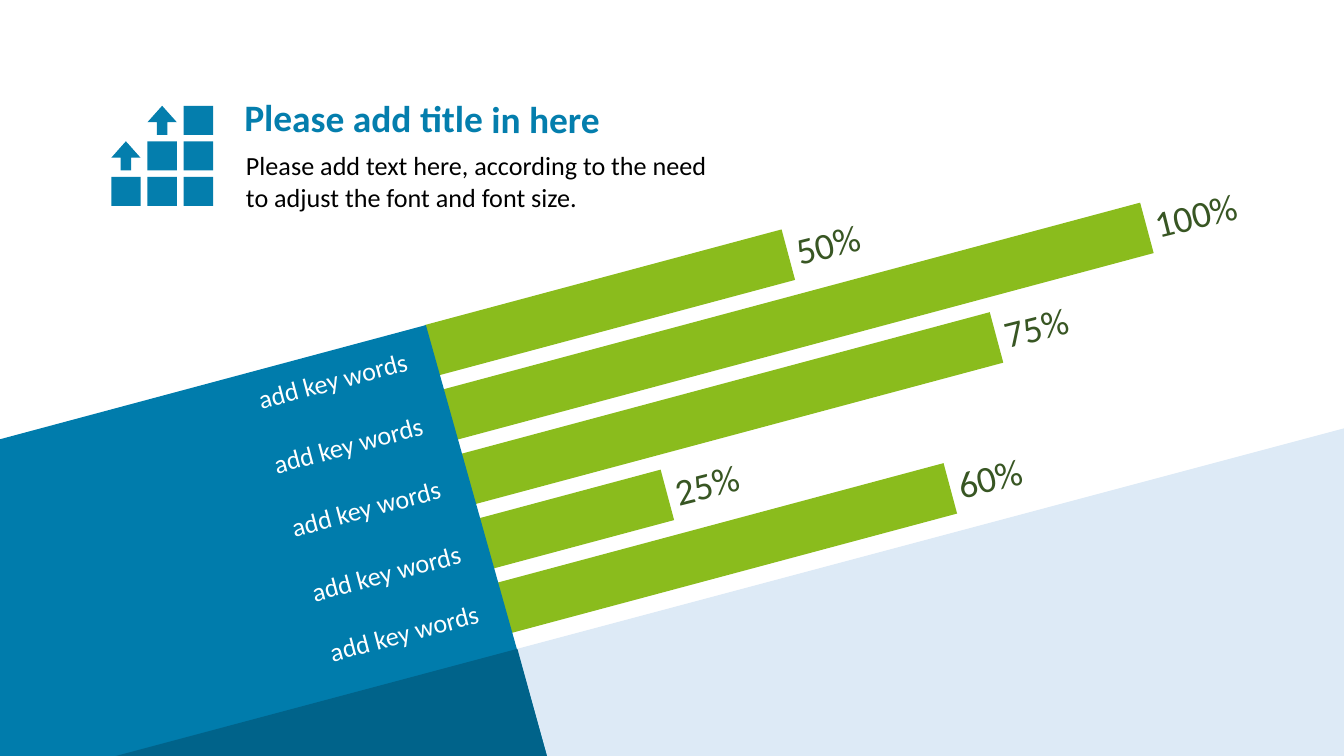
from math import cos, radians, sin

from pptx import Presentation
from pptx.dml.color import RGBColor
from pptx.enum import shapes, text
from pptx.util import Pt

FONT = "Calibri"
GREEN, DARK_GREEN, PALE_BLUE = "8ABC1D", "385623", "DDEAF6"
BLUE, DEEP_BLUE, TITLE_BLUE = "007CAC", "00638A", "047EAD"

TITLE = "Please add title in here"
BODY = "Please add text here, according to the need to adjust the font and font size."
BARS = [
    ("add key words", (178.2, 203.8), "50%", 198),
    ("add key words", (186.5, 238.3), "100%", 386.8),
    ("add key words", (196, 272.3), "75%", 293.4),
    ("add key words", (206.8, 306.9), "25%", 100.8),
    ("add key words", (216.4, 339), "60%", 247.7),
]

TILT = 15
BAR_HEIGHT = 28
BAR_START, BAR_STEP = (227.5, 174.2), (9.7, 34.5)
LABEL_WIDTHS = {3: 49, 4: 59}
LABEL_OVERLAP = 2.6

PANEL = [(228.2, 174.2), (293, 405), (0, 405), (0, 235.4)]
PANEL_SHADE = [(277.2, 347.6), (293, 405), (62, 405)]

ICON_LEFT, ICON_TOP = 59.6, 56.7
ICON_PITCH = (19.4, 19.05)
ICON_ROWS = [" ^#", "^##", "###"]
TILES = {
    "#": [(0, 0), (15.7, 0), (15.7, 15.6), (0, 15.6)],
    "^": [(7.85, 0), (15.7, 8.8), (10.6, 8.8), (10.6, 15.6),
          (5.1, 15.6), (5.1, 8.8), (0, 8.8)],
}


def paint(shape, color):
    shape.shadow.inherit = False
    shape.fill.solid()
    shape.fill.fore_color.rgb = RGBColor.from_string(color)
    shape.line.fill.background()


def along(x, y, dx, dy):
    angle = radians(TILT)
    return (x + dx * cos(angle) + dy * sin(angle),
            y - dx * sin(angle) + dy * cos(angle))


def bar_corner(index):
    return (BAR_START[0] + index * BAR_STEP[0],
            BAR_START[1] + index * BAR_STEP[1])


def frame(center, width, height):
    return (Pt(center[0] - width / 2), Pt(center[1] - height / 2),
            Pt(width), Pt(height))


def add_block(slide, kind, center, width, height, color, rotation=0):
    shape = slide.shapes.add_shape(kind, *frame(center, width, height))
    shape.rotation = rotation
    paint(shape, color)
    return shape


def add_outline(slide, contours, color):
    builder = None
    for contour in contours:
        points = [(Pt(x), Pt(y)) for x, y in contour]
        if builder is None:
            builder = slide.shapes.build_freeform(*points[0])
        else:
            builder.move_to(*points[0])
        builder.add_line_segments(points[1:], close=True)
    paint(builder.convert_to_shape(), color)


def add_text(slide, words, center, width, height, size, color,
             rotation=0, centered=False, wrap=False, bold=False):
    box = slide.shapes.add_textbox(*frame(center, width, height))
    box.rotation = rotation
    box.text_frame.word_wrap = wrap
    box.text_frame.auto_size = text.MSO_AUTO_SIZE.SHAPE_TO_FIT_TEXT
    paragraph = box.text_frame.paragraphs[0]
    paragraph.text = words
    paragraph.alignment = text.PP_ALIGN.CENTER if centered else text.PP_ALIGN.LEFT
    paragraph.font.name = FONT
    paragraph.font.size = Pt(size)
    paragraph.font.bold = bold
    paragraph.font.color.rgb = RGBColor.from_string(color)


def icon_contours():
    for row, tiles in enumerate(ICON_ROWS):
        for column, tile in enumerate(tiles):
            if tile in TILES:
                left = ICON_LEFT + column * ICON_PITCH[0]
                top = ICON_TOP + row * ICON_PITCH[1]
                yield [(left + x, top + y) for x, y in TILES[tile]]


def main():
    presentation = Presentation()
    presentation.slide_width, presentation.slide_height = Pt(720), Pt(405)
    slide = presentation.slides.add_slide(presentation.slide_layouts[6])

    for index, (_, _, _, length) in enumerate(BARS):
        center = along(*bar_corner(index), length / 2, BAR_HEIGHT / 2)
        add_block(slide, shapes.MSO_SHAPE.RECTANGLE, center, length, BAR_HEIGHT,
                  GREEN, -TILT)

    slope = add_block(slide, shapes.MSO_SHAPE.RIGHT_TRIANGLE, (391, 317.25),
                      658, 175.5, PALE_BLUE)
    slope._element.spPr.xfrm.set("flipH", "1")
    add_outline(slide, [PANEL], BLUE)
    add_outline(slide, [PANEL_SHADE], DEEP_BLUE)

    for index, (keyword, keyword_center, percent, length) in enumerate(BARS):
        add_text(slide, keyword, keyword_center, 97.2, 24.5, 14, "FFFFFF",
                 -TILT, centered=True)
        width = LABEL_WIDTHS[len(percent)]
        center = along(*bar_corner(index), length + width / 2 - LABEL_OVERLAP,
                       BAR_HEIGHT / 2)
        add_text(slide, percent, center, width, 31.7, 20, DARK_GREEN, 1 - TILT)

    add_text(slide, BODY, (260.8, 97.1), 272.2, 41, 14, "000000", wrap=True)
    add_text(slide, TITLE, (226.1, 63.4), 214, 31.7, 20, TITLE_BLUE, 0.3,
             centered=True, bold=True)
    add_outline(slide, icon_contours(), TITLE_BLUE)

    presentation.save("out.pptx")


if __name__ == "__main__":
    main()
